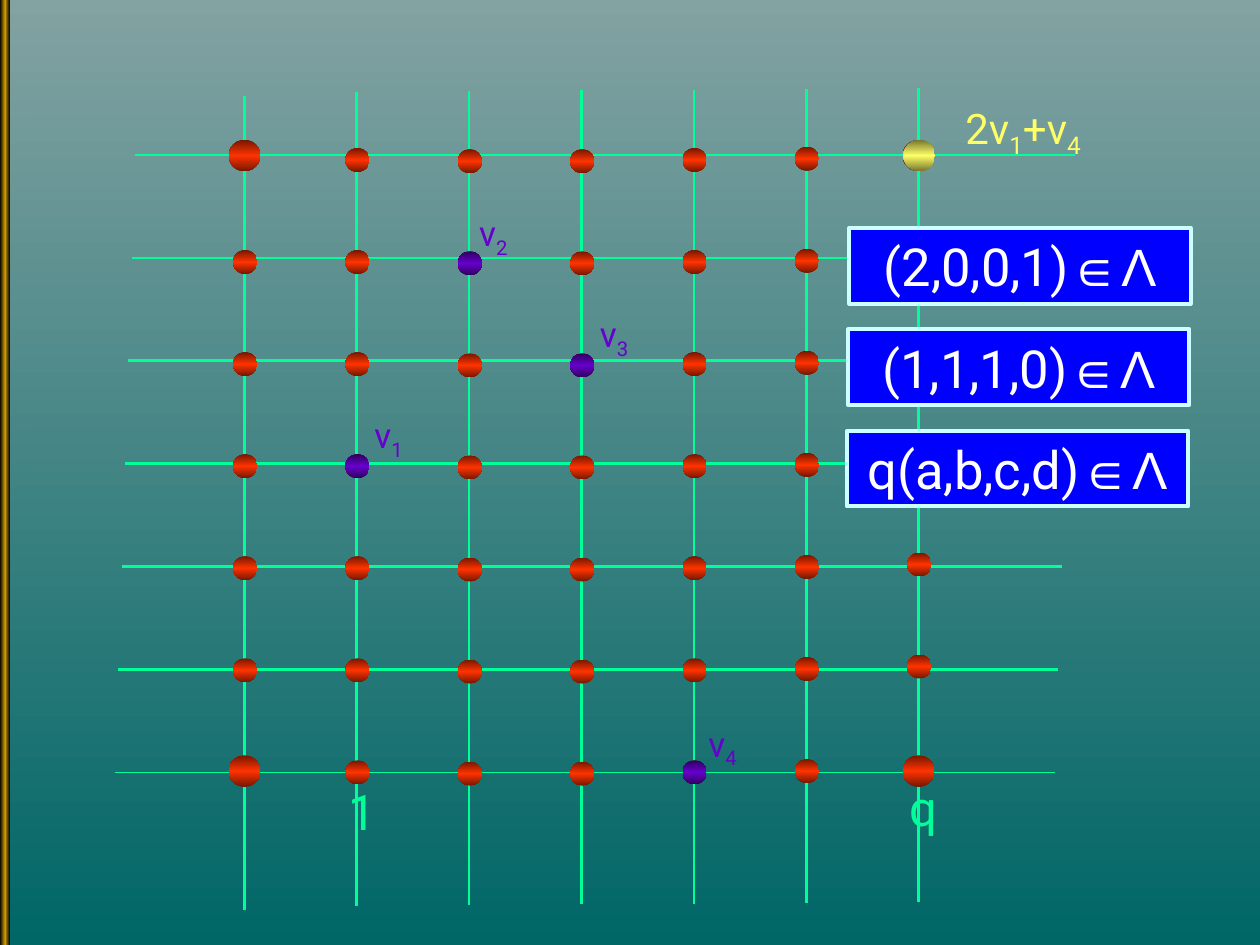
from copy import deepcopy
from dataclasses import dataclass

from pptx import Presentation
from pptx.dml.color import RGBColor
from pptx.enum.shapes import MSO_CONNECTOR, MSO_SHAPE
from pptx.enum.text import MSO_ANCHOR, MSO_AUTO_SIZE, PP_ALIGN
from pptx.oxml.ns import qn
from pptx.oxml.xmlchemy import OxmlElement
from pptx.util import Inches, Pt

WIDTH, HEIGHT = 10, 7.5
COLUMNS = ROWS = 7
LAST = COLUMNS - 1

# Lattice geometry in inches; the lines lean slightly from row to row
LEFT, COLUMN_GAP = 1.94, 0.89
LINE_TOP, LINE_GAP = 1.23, 0.82
POINT_TOP, POINT_GAP = 1.27, 0.81
POINT_SHIFTS = (0, 0, 0.01, 0.01, 0, -0.01, -0.03)
POINT_SIZE, CORNER_SIZE = 0.19, 0.25


@dataclass(frozen=True)
class Theme:
    backdrop: tuple = ("83A2A2", "006666")
    spine: tuple = ("000000", "CC9900", "000000")
    point: tuple = ("751700", "FF3300", "751700")
    vector: tuple = ("2F005E", "6600CC", "2F005E")
    total: tuple = ("75752F", "FFFF67", "75752F")
    grid: str = "00FF99"
    axis_text: str = "01FF99"
    box: str = "0000FF"
    box_edge: str = "CCFFFF"
    box_text: str = "FFFFFF"
    font: str = "Roboto"
    symbol_font: str = "Arial"
    axis_size: int = 28
    vector_size: int = 20
    total_size: int = 24
    box_size: int = 30


THEME = Theme()


def rgb(code):
    return RGBColor.from_string(code)


def paint_gradient(fill, element, colours, angle=270):
    """Spread the colours evenly; the angle runs anticlockwise."""
    fill.gradient()
    fill.gradient_angle = angle
    stop_list = next(element.iter(qn("a:gsLst")))
    while len(stop_list) < len(colours):
        stop_list.append(deepcopy(stop_list[0]))
    for index, (stop, colour) in enumerate(zip(fill.gradient_stops, colours)):
        stop.color.rgb = rgb(colour)
        stop.position = index / (len(colours) - 1)


def add_gradient_shape(slide, preset, left, top, width, height, colours, angle=270):
    shape = slide.shapes.add_shape(
        preset, Inches(left), Inches(top), Inches(width), Inches(height))
    shape.shadow.inherit = False
    shape.line.fill.background()
    paint_gradient(shape.fill, shape._element.spPr, colours, angle)


def add_grid_line(slide, x1, y1, x2, y2, weight=1.5):
    line = slide.shapes.add_connector(
        MSO_CONNECTOR.STRAIGHT, Inches(x1), Inches(y1), Inches(x2), Inches(y2))
    line.line.color.rgb = rgb(THEME.grid)
    line.line.width = Pt(weight)
    line._element.spPr.append(OxmlElement("a:effectLst"))


def point_centre(column, row):
    return (LEFT + 0.005 + column * COLUMN_GAP * 1.002,
            POINT_TOP + row * POINT_GAP + POINT_SHIFTS[column])


def add_ball(slide, x, y, size, colours):
    add_gradient_shape(slide, MSO_SHAPE.OVAL, x - size / 2, y - size / 2,
                       size, size, colours)


def set_centred_text(shape, size, colour, wrap=True):
    """Format the frame and return its only paragraph."""
    frame = shape.text_frame
    frame.word_wrap = wrap
    frame.auto_size = MSO_AUTO_SIZE.SHAPE_TO_FIT_TEXT
    frame.vertical_anchor = MSO_ANCHOR.MIDDLE
    paragraph = frame.paragraphs[0]
    paragraph.alignment = PP_ALIGN.CENTER
    paragraph.font.size = Pt(size)
    paragraph.font.color.rgb = rgb(colour)
    return paragraph


def add_label(slide, parts, left, top, width, height, size, colour, wrap=True):
    """Every second part is set as a subscript."""
    label = slide.shapes.add_textbox(
        Inches(left), Inches(top), Inches(width), Inches(height))
    paragraph = set_centred_text(label, size, colour, wrap)
    paragraph.font.name = THEME.font
    for index, part in enumerate(parts):
        run = paragraph.add_run()
        run.text = part
        if index % 2:
            run._r.get_or_add_rPr().set("baseline", "-25000")


def add_membership(slide, element, left, top):
    box = slide.shapes.add_shape(
        MSO_SHAPE.RECTANGLE, Inches(left), Inches(top), Inches(2.71), Inches(0.6))
    box.shadow.inherit = False
    box.fill.solid()
    box.fill.fore_color.rgb = rgb(THEME.box)
    box.line.color.rgb = rgb(THEME.box_edge)
    box.line.width = Pt(2.25)
    paragraph = set_centred_text(box, THEME.box_size, THEME.box_text)
    for text, font in ((element, THEME.font), ("∈Λ", THEME.symbol_font)):
        run = paragraph.add_run()
        run.text = text
        run.font.name = font


def add_backdrop(slide):
    paint_gradient(slide.background.fill, slide._element, THEME.backdrop)
    add_gradient_shape(slide, MSO_SHAPE.RECTANGLE, 0, 0, 0.08, HEIGHT,
                       THEME.spine, 180)
    add_gradient_shape(slide, MSO_SHAPE.RECTANGLE, 0.25, 0, 9.25, HEIGHT,
                       THEME.backdrop)


def add_grid(slide):
    for row in range(ROWS):
        y = LINE_TOP + row * LINE_GAP * 0.996
        start = 1.07 - row * 0.026
        add_grid_line(slide, start, y, start + 7.46, y, 1 if row == LAST else 1.5)
    for column in range(COLUMNS):
        x = LEFT + column * COLUMN_GAP * 1.002
        top = 0.735 - column * 0.006 if column else 0.76
        add_grid_line(slide, x, top, x, top + 6.46, 1.5 if column else 2)
    unit = LEFT + COLUMN_GAP
    add_grid_line(slide, unit, 6.09, unit, 6.18, 1)


def add_lattice_points(slide):
    for column in range(COLUMNS):
        for row in range(ROWS):
            is_corner = column in (0, LAST) and row in (0, LAST)
            behind_boxes = column == LAST and 1 <= row <= 3
            if not is_corner and not behind_boxes:
                add_ball(slide, *point_centre(column, row), POINT_SIZE, THEME.point)
    for x in (1.94, 7.29):
        for y in (1.235, 6.12):
            add_ball(slide, x, y, CORNER_SIZE, THEME.point)
    for text, left, top in (("1", 2.67, 6.15), ("q", 7.12, 6.12)):
        add_label(slide, [text], left, top, 0.34, 0.57,
                  THEME.axis_size, THEME.axis_text)


def add_vectors(slide):
    vectors = (("2", 2, 1, 3.65, 1.63), ("4", 4, 6, 5.47, 5.68),
               ("3", 3, 2, 4.61, 2.43), ("1", 1, 3, 2.82, 3.23))
    for index, column, row, left, top in vectors:
        add_ball(slide, *point_centre(column, row), POINT_SIZE, THEME.vector)
        add_label(slide, ["v", index], left, top, 0.53, 0.48,
                  THEME.vector_size, THEME.vector[1])
    add_ball(slide, 7.295, 1.235, CORNER_SIZE, THEME.total)
    add_label(slide, ["2v", "1", "+v", "4"], 7.55, 0.76, 1.14, 0.56,
              THEME.total_size, THEME.total[1], wrap=False)


def main():
    deck = Presentation()
    deck.slide_width, deck.slide_height = Inches(WIDTH), Inches(HEIGHT)
    slide = deck.slides.add_slide(deck.slide_layouts[6])
    add_backdrop(slide)
    add_grid(slide)
    add_lattice_points(slide)
    add_vectors(slide)
    for index, element in enumerate(("(2,0,0,1)", "(1,1,1,0)", "q(a,b,c,d)")):
        add_membership(slide, element, 6.74 - 0.01 * index, 1.81 + 0.805 * index)
    deck.save("out.pptx")


if __name__ == "__main__":
    main()
